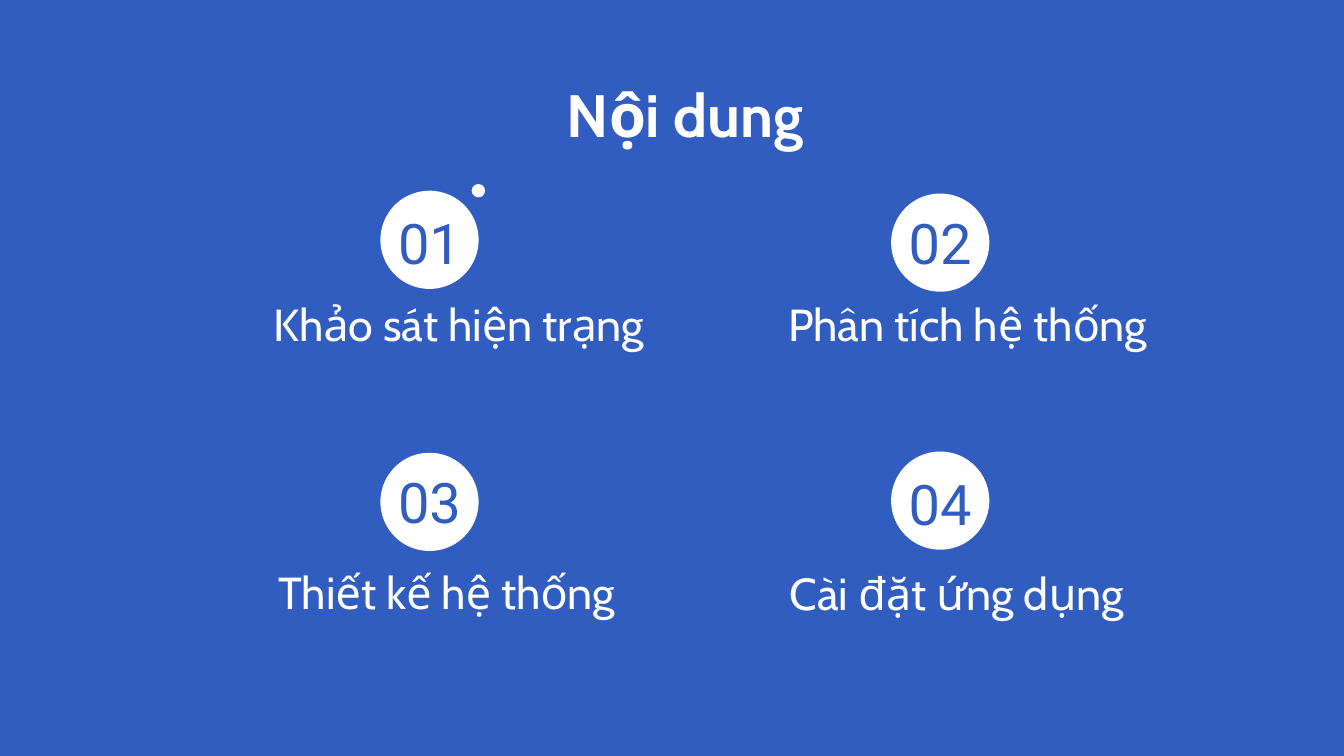
from pptx import Presentation
from pptx.dml.color import RGBColor
from pptx.enum.shapes import MSO_SHAPE as Shape
from pptx.enum.text import MSO_ANCHOR as Anchor, MSO_AUTO_SIZE as AutoSize, PP_ALIGN as Align
from pptx.util import Pt

COLORS = {"blue": "305DBF", "white": "FFFFFF"}
INSET = 7.2
BADGE = 52.6
CAPTION_HEIGHT = 33

# number, caption, badge (left, top), number top, caption (left, top, width)
TOPICS = [
    ("01", "Khảo sát hiện trạng", (203.8, 102.2), 102.2, (131.8, 151.9, 228.2)),
    ("02", "Phân tích hệ thống", (477.4, 103.7), 102.2, (409, 151.9, 218.9)),
    ("03", "Thiết kế hệ thống", (203.8, 242.6), 241.2, (125.3, 295.2, 228.2)),
    ("04", "Cài đặt ứng dụng", (477.4, 241.9), 241.9, (403.2, 295.9, 218.9)),
]


def color(name):
    return RGBColor.from_string(COLORS[name])


def place(shape, box):
    shape.left, shape.top, shape.width, shape.height = (Pt(value) for value in box)


def write(shape, text, font_name, size, color_name, bold=False, anchor=Anchor.TOP):
    frame = shape.text_frame
    frame.text = text
    frame.word_wrap = True
    frame.auto_size = AutoSize.NONE
    frame.vertical_anchor = anchor
    frame.margin_left = frame.margin_right = Pt(INSET)
    frame.margin_top = frame.margin_bottom = Pt(INSET)
    paragraph = frame.paragraphs[0]
    paragraph.alignment = Align.CENTER
    font = paragraph.runs[0].font
    font.name, font.size, font.bold = font_name, Pt(size), bold
    font.color.rgb = color(color_name)


def add_text(slide, box, *style, **options):
    text_box = slide.shapes.add_textbox(*(Pt(value) for value in box))
    write(text_box, *style, **options)


def add_circle(slide, left, top, diameter):
    circle = slide.shapes.add_shape(Shape.OVAL, Pt(left), Pt(top), Pt(diameter), Pt(diameter))
    circle.shadow.inherit = False
    circle.fill.solid()
    circle.fill.fore_color.rgb = color("white")
    circle.line.fill.background()


def add_title(slide, box):
    title = slide.shapes.title
    place(title, box)
    write(title, "Nội dung", "Cabin", 32, "white", bold=True)


def add_topic(slide, number, caption, badge, number_top, caption_box):
    left, top = badge
    add_circle(slide, left, top, BADGE)
    add_text(slide, (left, number_top, BADGE, BADGE), number, "Roboto", 30, "blue",
             anchor=Anchor.BOTTOM)
    add_text(slide, (*caption_box, CAPTION_HEIGHT), caption, "Cabin", 24, "white")


def main():
    presentation = Presentation()
    presentation.slide_width, presentation.slide_height = Pt(720), Pt(405)
    slide = presentation.slides.add_slide(presentation.slide_layouts[5])
    slide.background.fill.solid()
    slide.background.fill.fore_color.rgb = color("blue")

    add_title(slide, (31.7, 34.6, 671, 45.4))
    for topic in TOPICS:
        add_topic(slide, *topic)

    # Small accent dot beside the first badge
    add_circle(slide, 252.7, 98.6, 7.2)

    presentation.save("out.pptx")


if __name__ == "__main__":
    main()
